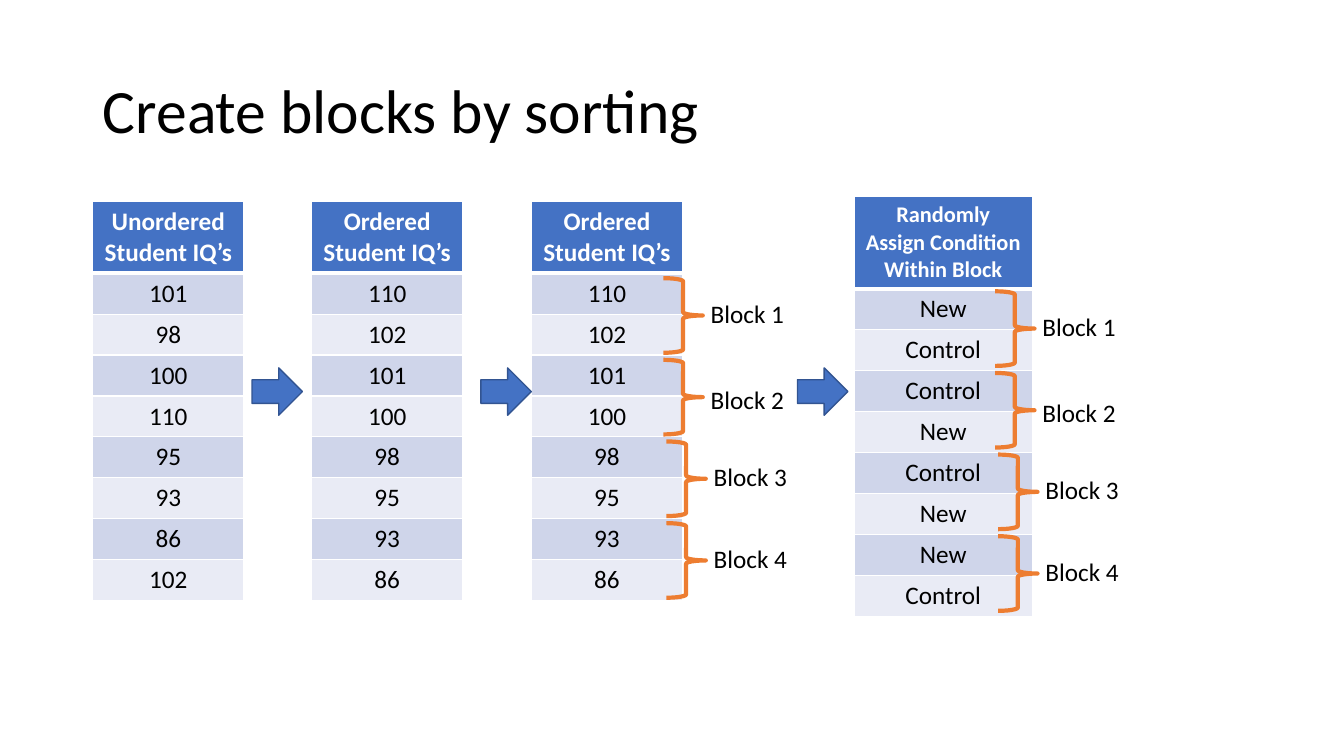
from dataclasses import dataclass

from lxml import etree
from pptx import Presentation
from pptx.dml.color import RGBColor
from pptx.enum import shapes, text
from pptx.oxml import ns
from pptx.util import Inches, Pt


@dataclass(frozen=True)
class Theme:
    """Colours, font and type sizes."""
    font: str = "Calibri"
    title: int = 44
    body: int = 18
    small: int = 16
    black: str = "000000"
    white: str = "FFFFFF"
    blue: str = "4472C4"
    outline: str = "325491"
    orange: str = "ED7D31"
    bands: tuple[str, str] = ("CFD5EA", "E9EBF5")


@dataclass(frozen=True)
class Column:
    """A one-column table with its header."""
    left: float
    top: float
    width: float
    header_height: float
    header_size: int
    header: str
    values: tuple[str, ...]


@dataclass(frozen=True)
class BlockSet:
    """Four braces with labels; left and top belong to the first brace."""
    left: float
    top: float


THEME = Theme()
ROW_HEIGHT = 0.406
BLOCK_STEP = 0.81
BLOCK_SHIFT = 0.03  # the lower two braces sit slightly further right
LABEL_DROPS = (0.15, 0.19, 0.15, 0.15)
ARROW_LEFTS = (2.5, 4.77, 7.91)

UNORDERED = ("101", "98", "100", "110", "95", "93", "86", "102")
ORDERED = tuple(sorted(UNORDERED, key=int, reverse=True))
CONDITIONS = ("New", "Control", "Control", "New",
              "Control", "New", "New", "Control")

COLUMNS = (
    Column(0.92, 2, 1.5, 0.7, THEME.body, "Unordered Student IQ’s", UNORDERED),
    Column(3.09, 2, 1.5, 0.7, THEME.body, "Ordered Student IQ’s", ORDERED),
    Column(5.27, 2, 1.5, 0.7, THEME.body, "Ordered Student IQ’s", ORDERED),
    Column(8.47, 1.95, 1.77, 0.89, THEME.small,
           "Randomly Assign Condition Within Block", CONDITIONS),
)
BLOCK_SETS = (BlockSet(6.58, 2.76), BlockSet(9.87, 2.89))


def rgb(colour: str) -> RGBColor:
    """Turn a hex string into a colour."""
    return RGBColor.from_string(colour)


def write(tf, words: str, size: int, colour: str, bold: bool = False,
          align=text.PP_ALIGN.LEFT) -> None:
    """Set the text of a frame and format it."""
    tf.text = words
    p = tf.paragraphs[0]
    p.alignment = align
    font = p.runs[0].font
    font.name, font.size, font.bold = THEME.font, Pt(size), bold
    font.color.rgb = rgb(colour)


def add_borders(cell, bottom: int) -> None:
    """Give a cell white borders; bottom is the lower one's width in points."""
    tc_pr = cell._tc.get_or_add_tcPr()
    for i, (side, width) in enumerate(
            (("L", 1), ("R", 1), ("T", 1), ("B", bottom))):
        line = etree.Element(ns.qn(f"a:ln{side}"), w=str(Pt(width)))
        fill = etree.SubElement(line, ns.qn("a:solidFill"))
        etree.SubElement(fill, ns.qn("a:srgbClr"), val=THEME.white)
        tc_pr.insert(i, line)


def add_column(s, column: Column) -> None:
    """Draw a one-column table with banded rows."""
    count = len(column.values) + 1
    height = column.header_height + ROW_HEIGHT * len(column.values)
    table = s.shapes.add_table(
        count, 1, Inches(column.left), Inches(column.top),
        Inches(column.width), Inches(height)).table
    for i, words in enumerate((column.header, *column.values)):
        head = i == 0
        table.rows[i].height = Inches(
            column.header_height if head else ROW_HEIGHT)
        cell = table.cell(i, 0)
        write(cell.text_frame, words,
              column.header_size if head else THEME.body,
              THEME.white if head else THEME.black,
              head, text.PP_ALIGN.CENTER)
        cell.fill.solid()
        cell.fill.fore_color.rgb = rgb(
            THEME.blue if head else THEME.bands[(i - 1) % 2])
        add_borders(cell, 3 if head else 1)


def add_arrow(s, left: float) -> None:
    """Draw an arrow between two tables."""
    sp = s.shapes.add_shape(shapes.MSO_SHAPE.RIGHT_ARROW, Inches(left),
                            Inches(3.65), Inches(0.5), Inches(0.47))
    sp.shadow.inherit = False
    sp.fill.solid()
    sp.fill.fore_color.rgb = rgb(THEME.blue)
    sp.line.color.rgb = rgb(THEME.outline)
    sp.line.width = Pt(1)


def add_block(s, left: float, top: float, drop: float, words: str) -> None:
    """Draw a brace and its label, which starts drop below the brace top."""
    sp = s.shapes.add_shape(shapes.MSO_SHAPE.RIGHT_BRACE, Inches(left),
                            Inches(top), Inches(0.39), Inches(0.74))
    sp.shadow.inherit = False
    sp.fill.background()
    sp.line.color.rgb = rgb(THEME.orange)
    sp.line.width = Pt(3)
    label = s.shapes.add_textbox(Inches(left + 0.37), Inches(top + drop),
                                 Inches(0.93), Inches(0.4))
    write(label.text_frame, words, THEME.body, THEME.black)


def add_title(s, words: str) -> None:
    """Place and format the title."""
    sp = s.shapes.title
    sp.left, sp.top = Inches(0.92), Inches(0.4)
    sp.width, sp.height = Inches(11.5), Inches(1.45)
    tf = sp.text_frame
    write(tf, words, THEME.title, THEME.black)
    tf.vertical_anchor = text.MSO_ANCHOR.MIDDLE
    tf.paragraphs[0].line_spacing = 0.9


def main() -> None:
    """Build and save the slide."""
    prs = Presentation()
    prs.slide_width, prs.slide_height = Inches(13.33), Inches(7.5)
    s = prs.slides.add_slide(prs.slide_layouts.get_by_name("Title Only"))
    add_title(s, "Create blocks by sorting")
    for column in COLUMNS:
        add_column(s, column)
    for left in ARROW_LEFTS:
        add_arrow(s, left)
    for blocks in BLOCK_SETS:
        for i, drop in enumerate(LABEL_DROPS):
            add_block(s, blocks.left + BLOCK_SHIFT * (i // 2),
                      blocks.top + BLOCK_STEP * i, drop, f"Block {i + 1}")
    prs.save("out.pptx")


main()
